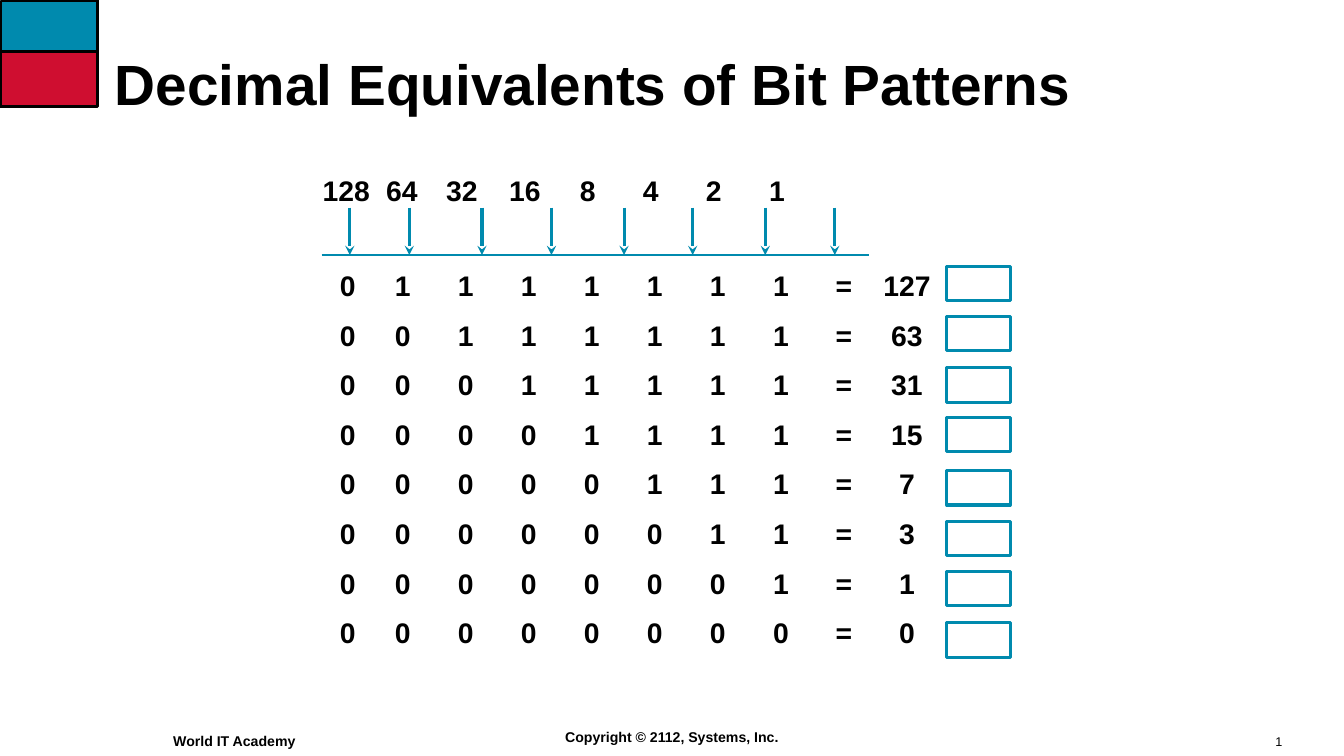
"""Build the slide on decimal equivalents of bit patterns."""
import pptx
import pptx.dml.color
import pptx.enum.shapes
import pptx.enum.text
import pptx.oxml.ns
import pptx.util
from lxml import etree
from pptx.util import Inches

BLACK = pptx.dml.color.RGBColor(0x00, 0x00, 0x00)
TEAL = pptx.dml.color.RGBColor(0x00, 0x8A, 0xAE)
RED = pptx.dml.color.RGBColor(0xCF, 0x0E, 0x30)
ALIGN = pptx.enum.text.PP_ALIGN
ANCHOR = pptx.enum.text.MSO_ANCHOR
RECTANGLE = pptx.enum.shapes.MSO_SHAPE.RECTANGLE
STRAIGHT = pptx.enum.shapes.MSO_CONNECTOR.STRAIGHT
qn = pptx.oxml.ns.qn

presentation = pptx.Presentation()
presentation.slide_width = Inches(13.33)
presentation.slide_height = Inches(7.5)
slide = presentation.slides.add_slide(presentation.slide_layouts[6])


def add_text(text, left, top, width, height, size, bold=True, align=ALIGN.LEFT,
             anchor=ANCHOR.TOP, margins=(0.1, 0.05), line_spacing=None,
             space_before=0, tabs=()):
    """Add a text box with one paragraph per line; tabs are (inches, alignment)."""
    box = slide.shapes.add_textbox(Inches(left), Inches(top), Inches(width), Inches(height))
    frame = box.text_frame
    frame.word_wrap = True
    frame.vertical_anchor = anchor
    frame.margin_left = frame.margin_right = Inches(margins[0])
    frame.margin_top = frame.margin_bottom = Inches(margins[1])
    for index, line in enumerate(text.split("\n")):
        paragraph = frame.add_paragraph() if index else frame.paragraphs[0]
        paragraph.alignment = align
        paragraph.line_spacing = line_spacing
        paragraph.space_before = pptx.util.Pt(space_before if index else 0)
        run = paragraph.add_run()
        run.text = line
        run.font.name = "Arial"
        run.font.size = pptx.util.Pt(size)
        run.font.bold = bold
        run.font.color.rgb = BLACK
        if tabs:
            tab_list = etree.SubElement(paragraph._p.get_or_add_pPr(), qn("a:tabLst"))
            for position, alignment in tabs:
                etree.SubElement(tab_list, qn("a:tab"), pos=str(Inches(position)), algn=alignment)


def add_line(start, end, color, width, arrow=False):
    """Add a straight line between two points in inches."""
    line = slide.shapes.add_connector(STRAIGHT, *map(Inches, (*start, *end)))
    line.line.color.rgb = color
    line.line.width = pptx.util.Pt(width)
    if arrow:
        etree.SubElement(line.line._get_or_add_ln(), qn("a:tailEnd"), type="stealth")
    etree.SubElement(line._element.spPr, qn("a:effectLst"))


for top, height, color in ((0.01, 0.77, TEAL), (0.52, 0.54, RED)):
    block = slide.shapes.add_shape(RECTANGLE, Inches(0.01), Inches(top), Inches(0.95), Inches(height))
    block.shadow.inherit = False
    block.fill.solid()
    block.fill.fore_color.rgb = color
    block.line.color.rgb = BLACK
    block.line.width = pptx.util.Pt(1)
add_line((0.97, 0.51), (0, 0.51), BLACK, 2.25)
builder = slide.shapes.build_freeform(Inches(0), Inches(1.06))
builder.add_line_segments([(Inches(0.97), Inches(1.06)), (Inches(0.97), Inches(0))], close=False)
corner = builder.convert_to_shape()
corner.shadow.inherit = False
corner.fill.background()
corner.line.color.rgb = BLACK
corner.line.width = pptx.util.Pt(2.25)

add_text("Decimal Equivalents of Bit Patterns", 1.06, 0.24, 11.61, 1.25, 40.5,
         anchor=ANCHOR.MIDDLE, margins=(0.08, 0.04), line_spacing=0.9)

place_values = [2 ** power for power in range(7, -1, -1)]
header_tabs = [(0.63, "l")] + [(1.38 + 0.625 * step, "ctr") for step in range(6)]
add_text("\t".join(map(str, place_values)), 3.09, 1.66, 5.49, 0.46, 20.2,
         margins=(0.11, 0.06), tabs=header_tabs)

decimals = [2 ** bits - 1 for bits in range(7, -1, -1)]
bit_rows = ["\t".join([*f"{decimal:08b}", "=", str(decimal)]) for decimal in decimals]
bit_tabs = [(0.625 * column, "ctr") for column in range(1, 10)]
add_text("\n".join(bit_rows), 3.26, 2.6, 6.15, 4.03, 20.2,
         margins=(0.11, 0.06), space_before=11.2, tabs=bit_tabs)

for top in (2.64, 3.14, 3.65, 4.14, 4.67, 5.17, 5.67, 6.18):
    answer_box = slide.shapes.add_shape(RECTANGLE, Inches(9.39), Inches(top), Inches(0.63), Inches(0.34))
    answer_box.shadow.inherit = False
    answer_box.fill.background()
    answer_box.line.color.rgb = TEAL
    answer_box.line.width = pptx.util.Pt(2.25)

add_line((3.19, 2.53), (8.62, 2.53), TEAL, 1)
for x in (3.47, 4.06, 4.78, 5.47, 6.19, 6.87, 7.59, 8.28):
    add_line((x, 2.06), (x, 2.53), TEAL, 2.25, arrow=True)

add_text("World IT Academy", 1.62, 7.22, 1.97, 0.27, 10.1)
add_text("Copyright © 2112, Systems, Inc.", 5.38, 7.18, 2.57, 0.27, 10.1, align=ALIGN.CENTER)
add_text("1", 12.56, 7.24, 0.34, 0.24, 9, bold=False, margins=(0.09, 0.04))

presentation.save("out.pptx")
